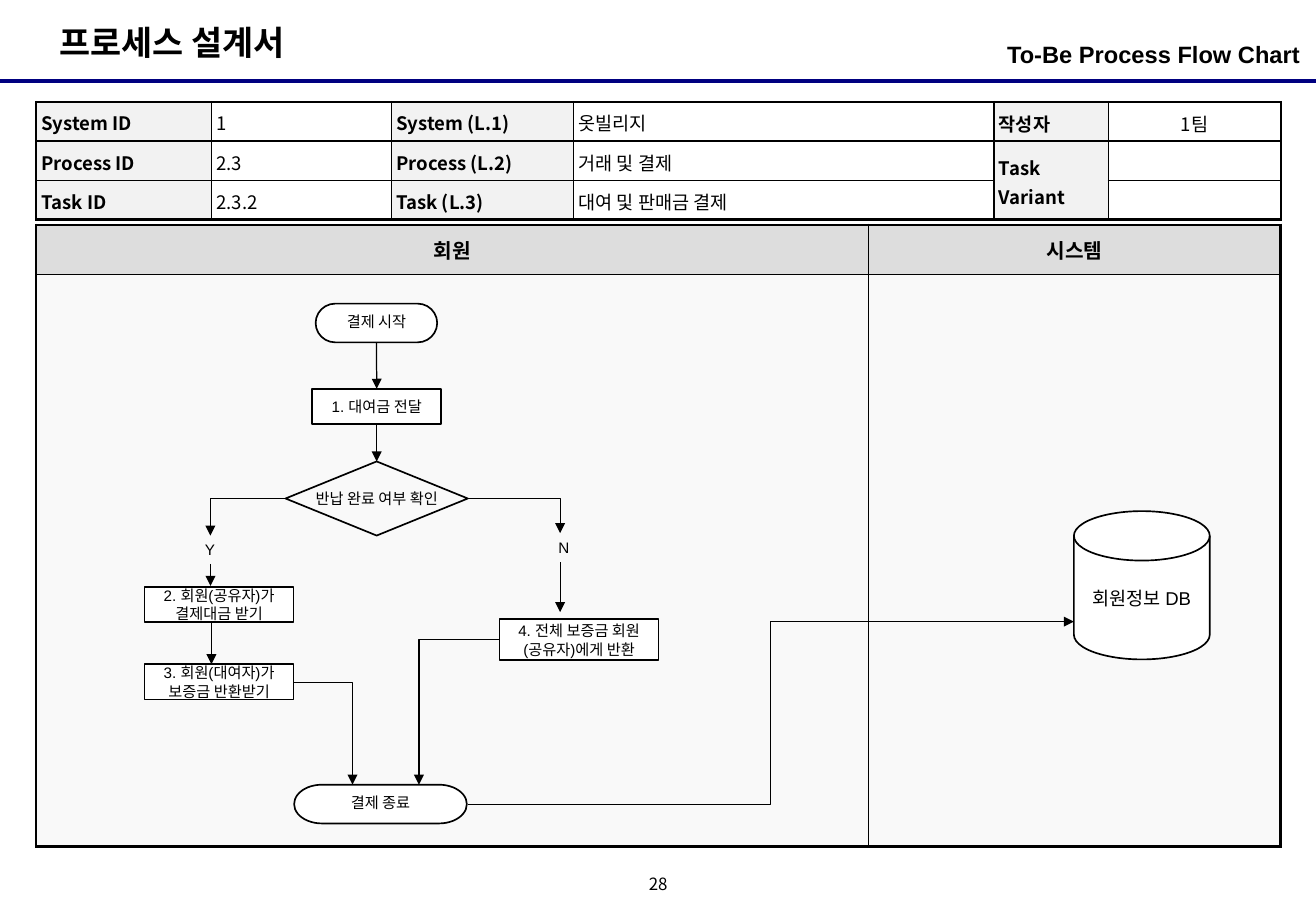
from lxml.etree import SubElement
from pptx import Presentation
from pptx.dml.color import RGBColor
from pptx.enum.shapes import MSO_CONNECTOR, MSO_SHAPE
from pptx.enum.text import MSO_ANCHOR, PP_ALIGN
from pptx.oxml.ns import qn
from pptx.util import Cm, Pt

BLACK = RGBColor(0x00, 0x00, 0x00)
WHITE = RGBColor(0xFF, 0xFF, 0xFF)
NAVY = RGBColor(0x00, 0x00, 0x80)
LABEL = RGBColor(0xF2, 0xF2, 0xF2)
HEAD = RGBColor(0xDD, 0xDD, 0xDD)
LANE = RGBColor(0xF9, 0xF9, 0xF9)
NOTO = "Noto Sans CJK KR"
ARIAL = "Arial"


def write(frame, text, *, size=9, font=ARIAL, bold=False, align=PP_ALIGN.CENTER,
          anchor=MSO_ANCHOR.MIDDLE, pad=(0, 0), wrap=True, lead=1.0):
    frame.word_wrap = wrap
    frame.vertical_anchor = anchor
    frame.margin_left = frame.margin_right = Cm(pad[0])
    frame.margin_top = frame.margin_bottom = Cm(pad[1])
    para = frame.paragraphs[0]
    para.alignment = align
    para.line_spacing = lead
    if not text:
        para._p.get_or_add_endParaRPr().set("sz", str(size * 100))
        return
    run = para.add_run()
    run.text = text
    run.font.size = Pt(size)
    run.font.bold = bold
    run.font.color.rgb = BLACK
    run.font.name = font
    SubElement(run.font._element, qn("a:ea")).set("typeface", NOTO)


def link(start, end, *, color=BLACK, width=0.75, bend=None, arrow=True):
    kind = MSO_CONNECTOR.ELBOW if bend else MSO_CONNECTOR.STRAIGHT
    line = slide.shapes.add_connector(kind, *map(Cm, start + end))
    line.line.color.rgb = color
    line.line.width = Pt(width)
    props = line._element.spPr
    if bend:
        props.find(qn("a:prstGeom")).set("prst", bend)
    if arrow:
        SubElement(line.line._get_or_add_ln(), qn("a:tailEnd")).set("type", "triangle")
    SubElement(props, qn("a:effectLst"))
    return line


deck = Presentation()
deck.slide_width, deck.slide_height = Cm(27.51), Cm(19.05)
slide = deck.slides.add_slide(deck.slide_layouts[6])

link((0, 1.7), (27.51, 1.7), color=NAVY, width=2.25, arrow=False)

labels = [
    ((0.99, 0.33, 5.74, 1.12), "프로세스 설계서",
     dict(size=20, font=NOTO, bold=True, align=PP_ALIGN.LEFT, anchor=MSO_ANCHOR.TOP,
          pad=(0.25, 0.13), wrap=False)),
    ((18.77, 0.71, 8.41, 0.99), "To-Be Process Flow Chart",
     dict(size=14, bold=True, align=PP_ALIGN.RIGHT, anchor=MSO_ANCHOR.TOP, pad=(0, 0.13))),
    ((13.34, 18.21, 0.84, 0.64), "28", dict(size=10, font=NOTO, wrap=False, lead=0.8)),
]

info = [
    ["System ID", "1", "System (L.1)", "옷빌리지", "작성자", "1팀"],
    ["Process ID", "2.3", "Process (L.2)", "거래 및 결제", "Task Variant", ""],
    ["Task ID", "2.3.2", "Task (L.3)", "대여 및 판매금 결제", "", ""],
]
lanes = [["회원", "시스템"], ["", ""]]
tables = [
    (info, 2.13, [3.66, 3.76, 3.81, 8.79, 2.39, 3.61], [0.79] * 3, 1),
    (lanes, 4.7, [17.4, 8.61], [1.04, 11.96], 0.75),
]
for rows, top, wide, high, thin in tables:
    grid = slide.shapes.add_table(len(high), len(wide), Cm(0.76), Cm(top),
                                  Cm(sum(wide)), Cm(sum(high))).table
    grid.first_row = grid.horz_banding = False
    for col, size in zip(grid.columns, wide):
        col.width = Cm(size)
    for row, size in zip(grid.rows, high):
        row.height = Cm(size)
    if rows is info:
        grid.cell(1, 4).merge(grid.cell(2, 4))
    for r, row in enumerate(rows):
        for c, text in enumerate(row):
            cell = grid.cell(r, c)
            if cell.is_spanned:
                continue
            edges = {"lnL": c == 0, "lnR": c == len(wide) - 1,
                     "lnT": r == 0, "lnB": r + cell.span_height == len(high)}
            for tag, outer in edges.items():
                edge = SubElement(cell._tc.get_or_add_tcPr(), qn("a:" + tag))
                edge.set("w", str(Pt(1.5 if outer else thin)))
                ink = SubElement(edge, qn("a:solidFill"))
                SubElement(ink, qn("a:srgbClr")).set("val", str(BLACK))
            if rows is info:
                name = c % 2 == 0
                tint = LABEL if name else None
                style = dict(size=11, bold=name, lead=1.1, pad=(0.1, 0.1),
                             align=PP_ALIGN.CENTER if c == 5 else PP_ALIGN.LEFT)
                cell.vertical_anchor = MSO_ANCHOR.MIDDLE if c > 3 else MSO_ANCHOR.TOP
            else:
                tint = LANE if r else HEAD
                style = dict(size=12, bold=True)
                cell.vertical_anchor = MSO_ANCHOR.MIDDLE
            if tint:
                cell.fill.solid()
                cell.fill.fore_color.rgb = tint
            else:
                cell.fill.background()
            pad = style.pop("pad", (0.25, 0.13))
            cell.margin_left = cell.margin_right = Cm(pad[0])
            cell.margin_top = cell.margin_bottom = Cm(pad[1])
            write(cell.text_frame, text, font=NOTO, anchor=None, pad=pad, **style)

BOX = MSO_SHAPE.RECTANGLE
PILL = MSO_SHAPE.FLOWCHART_TERMINATOR
side = dict(pad=(0.05, 0))
nodes = [
    ("start", PILL, (6.6, 6.35, 2.54, 0.81), "결제 시작", dict(side, lead=0.9)),
    ("pay", BOX, (6.53, 8.13, 2.69, 0.74), "1. 대여금 전달", side),
    ("check", MSO_SHAPE.FLOWCHART_DECISION, (5.97, 9.65, 3.81, 1.55),
     "반납 완료 여부 확인", dict(pad=(0.1, 0.1), wrap=False)),
    ("share", BOX, (3.02, 12.27, 3.12, 0.74), "2. 회원(공유자)가 결제대금 받기", side),
    ("rent", BOX, (3.02, 13.89, 3.12, 0.74), "3. 회원(대여자)가 보증금 반환받기", side),
    ("refund", BOX, (10.44, 12.95, 3.33, 0.86), "4. 전체 보증금 회원(공유자)에게 반환", side),
    ("end", PILL, (6.15, 16.41, 3.61, 0.81), "결제 종료", dict(side, lead=0.9)),
    ("store", MSO_SHAPE.FLOWCHART_MAGNETIC_DISK, (22.45, 10.69, 2.84, 3.1),
     "회원정보 DB", dict(size=11, pad=(0.1, 0), wrap=False)),
]
flow = {}
for key, kind, place, text, style in nodes:
    node = slide.shapes.add_shape(kind, *map(Cm, place))
    node.shadow.inherit = False
    if key == "check":
        node.fill.background()
    else:
        node.fill.solid()
        node.fill.fore_color.rgb = WHITE
    node.line.color.rgb = BLACK
    node.line.width = Pt(1)
    write(node.text_frame, text, **style)
    flow[key] = node

labels += [((11.51, 11.15, 0.56, 0.61), "N", {}), ((4.01, 11.18, 0.76, 0.61), "Y", {})]
for place, text, style in labels:
    box = slide.shapes.add_textbox(*map(Cm, place))
    write(box.text_frame, text, **style)

for above, below in [("start", "pay"), ("pay", "check")]:
    line = link((7.87, 7.16), (7.87, 8.13))
    line.begin_connect(flow[above], 2)
    line.end_connect(flow[below], 0)

for x, top, foot in [(4.42, 13.01, 13.89), (4.4, 11.79, 12.25), (11.71, 11.76, 12.8)]:
    link((x, top), (x, foot))

turns = [
    ((9.78, 10.43), (11.71, 11.15)),
    ((5.97, 10.43), (4.4, 11.2)),
    ((6.15, 14.27), (7.37, 16.41)),
    ((10.44, 13.37), (8.76, 16.41)),
]
for begin, end in turns:
    link(begin, end, bend="bentConnector2")
link((9.78, 16.82), (22.45, 13), bend="bentConnector3")

deck.save("out.pptx")
